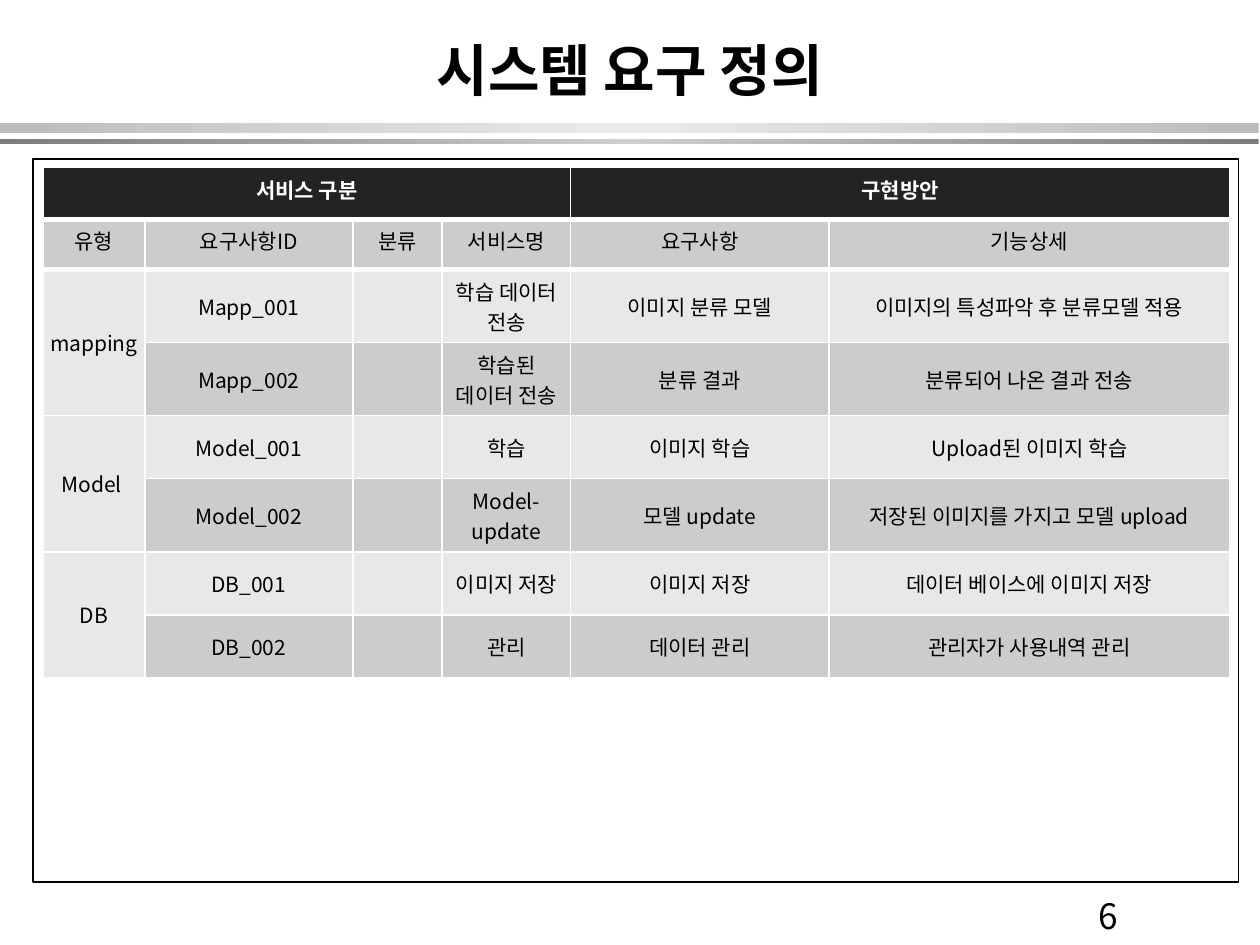
"""Build the system requirements slide."""
from pptx import Presentation
from pptx.dml.color import RGBColor
from pptx.enum.shapes import MSO_SHAPE
from pptx.enum.text import MSO_ANCHOR, PP_ALIGN
from pptx.oxml import parse_xml
from pptx.oxml.ns import nsdecls
from pptx.util import Inches, Pt

TITLE = "시스템 요구 정의"
PAGE = "6"
GROUPS = [("서비스 구분", 0, 3), ("구현방안", 4, 5)]
HEADS = ["유형", "요구사항ID", "분류", "서비스명", "요구사항", "기능상세"]
SERVICES = [
    ("mapping", [
        ("Mapp_001", "", "학습 데이터 전송", "이미지 분류 모델", "이미지의 특성파악 후 분류모델 적용"),
        ("Mapp_002", "", "학습된 데이터 전송", "분류 결과", "분류되어 나온 결과 전송"),
    ]),
    ("Model ", [
        ("Model_001", "", "학습", "이미지 학습", "Upload된 이미지 학습"),
        ("Model_002", "", "Model-update", "모델 update", "저장된 이미지를 가지고 모델 upload"),
    ]),
    ("DB", [
        ("DB_001", "", "이미지 저장", "이미지 저장", "데이터 베이스에 이미지 저장"),
        ("DB_002", "", "관리", "데이터 관리", "관리자가 사용내역 관리"),
    ]),
]
COLS = [0.81, 1.65, 0.71, 1.02, 2.05, 3.18]
ONE_LINE, TWO_LINES = 0.5, 0.58
ROWS = [0.41, 0.4, TWO_LINES, TWO_LINES, ONE_LINE, TWO_LINES, ONE_LINE, ONE_LINE]
BANDS = [(0.98, 0.08, "BCBCBC", "EBEBEB"), (1.1, 0.04, "7C7C7C", "CECECE")]
THEME = {
    "font": "Noto Sans CJK KR", "ink": "000000", "paper": "FFFFFF",
    "head": "232323", "dark": "CCCCCC", "light": "E8E8E8",
    "title": 32, "page": 20, "cell": 12, "inset": 0.05, "rule": 1, "thick": 3,
}


def write(tf, text, size, color="ink", bold=False, align=PP_ALIGN.CENTER):
    p = tf.paragraphs[0]
    p.alignment = align
    r = p.add_run()
    r.text = text
    r.font.size = Pt(THEME[size])
    r.font.bold = bold
    r.font.name = THEME["font"]
    r.font.color.rgb = RGBColor.from_string(THEME[color])
    r.font._element.append(parse_xml(f'<a:ea {nsdecls("a")} typeface="{THEME["font"]}"/>'))


def set_insets(box):
    box.margin_left = box.margin_right = Inches(THEME["inset"])
    box.margin_top = box.margin_bottom = Inches(THEME["inset"])


def add_text(s, x, y, w, h, text, size, wrap=True, anchor=MSO_ANCHOR.TOP, **fmt):
    tf = s.shapes.add_textbox(*map(Inches, (x, y, w, h))).text_frame
    tf.word_wrap = wrap
    tf.vertical_anchor = anchor
    set_insets(tf)
    write(tf, text, size, **fmt)


def add_rect(s, x, y, w, h):
    sp = s.shapes.add_shape(MSO_SHAPE.RECTANGLE, *map(Inches, (x, y, w, h)))
    sp.shadow.inherit = False
    sp.fill.background()
    return sp


def add_band(s, y, h, edge, middle):
    sp = add_rect(s, 0, y, 9.99, h)
    sp.line.fill.background()
    stops = "".join(f'<a:gs pos="{pos}"><a:srgbClr val="{c}"/></a:gs>'
                    for pos, c in [(0, edge), (50000, middle), (100000, edge)])
    grad = parse_xml(f'<a:gradFill {nsdecls("a")} rotWithShape="1"><a:gsLst>{stops}</a:gsLst>'
                     '<a:lin ang="10800000" scaled="0"/></a:gradFill>')
    pr = sp._element.spPr
    pr.replace(pr.find("{*}noFill"), grad)


def style_cell(cell, row, fill):
    set_insets(cell)
    cell.vertical_anchor = MSO_ANCHOR.TOP if row < 2 else MSO_ANCHOR.MIDDLE
    top = "thick" if row in (1, 2) else "rule"
    bottom = "thick" if row < 2 else "rule"
    for side, width in [("L", "rule"), ("R", "rule"), ("T", top), ("B", bottom)]:
        cell._tc.get_or_add_tcPr().append(parse_xml(
            f'<a:ln{side} {nsdecls("a")} w="{Pt(THEME[width])}"><a:solidFill>'
            f'<a:srgbClr val="{THEME["paper"]}"/></a:solidFill></a:ln{side}>'))
    cell.fill.solid()
    cell.fill.fore_color.rgb = RGBColor.from_string(THEME[fill])


def add_requirements(s):
    table = s.shapes.add_table(len(ROWS), len(COLS), Inches(0.34), Inches(1.33),
                               Inches(sum(COLS)), Inches(sum(ROWS))).table
    for col, w in zip(table.columns, COLS):
        col.width = Inches(w)
    for row, h in zip(table.rows, ROWS):
        row.height = Inches(h)
    for i in range(len(ROWS)):
        for j in range(len(COLS)):
            fill = "head" if i == 0 else "light" if i > 1 and (i % 2 == 0 or j == 0) else "dark"
            style_cell(table.cell(i, j), i, fill)
    for text, first, last in GROUPS:
        table.cell(0, first).merge(table.cell(0, last))
        write(table.cell(0, first).text_frame, text, "cell", color="paper", bold=True)
    lines = [(1, 0, HEADS)]
    top = 2
    for kind, items in SERVICES:
        table.cell(top, 0).merge(table.cell(top + len(items) - 1, 0))
        lines.append((top, 0, [kind]))
        lines += [(top + k, 1, item) for k, item in enumerate(items)]
        top += len(items)
    for i, start, texts in lines:
        for j, text in enumerate(texts, start):
            if text:
                write(table.cell(i, j).text_frame, text, "cell")


def main():
    prs = Presentation()
    prs.slide_width, prs.slide_height = Inches(10), Inches(7.5)
    s = prs.slides.add_slide(prs.slide_layouts[6])
    for band in BANDS:
        add_band(s, *band)
    frame = add_rect(s, 0.26, 1.26, 9.57, 5.74)
    frame.line.color.rgb = RGBColor.from_string(THEME["ink"])
    frame.line.width = Pt(THEME["rule"])
    add_text(s, 8.67, 7.05, 0.27, 0.43, PAGE, "page", wrap=False, align=PP_ALIGN.LEFT)
    add_text(s, 0.75, 0.17, 8.5, 0.75, TITLE, "title", anchor=MSO_ANCHOR.MIDDLE, bold=True)
    add_requirements(s)
    prs.save("out.pptx")


if __name__ == "__main__":
    main()
